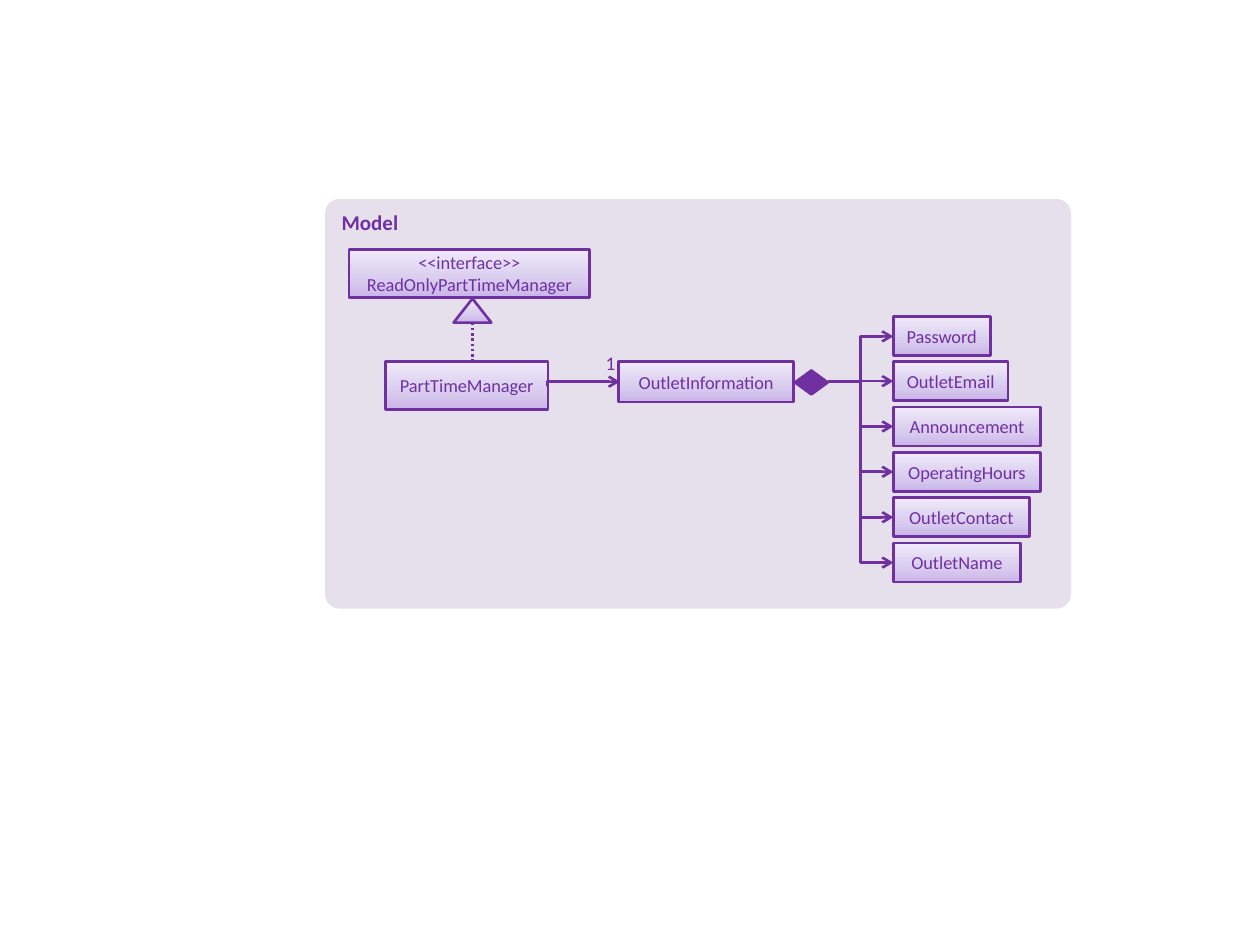
import copy

import lxml.etree
import pptx
import pptx.dml.color
import pptx.enum.dml
import pptx.enum.shapes
import pptx.enum.text
import pptx.oxml.ns
import pptx.util

Inches = pptx.util.Inches
Pt = pptx.util.Pt
Kind = pptx.enum.shapes.MSO_SHAPE
Link = pptx.enum.shapes.MSO_CONNECTOR
Align = pptx.enum.text.PP_ALIGN
Anchor = pptx.enum.text.MSO_ANCHOR
qn = pptx.oxml.ns.qn

COLORS = {"ink": "7030A0", "panel": "E6E0EC",
          "dark": "C9B5E8", "mid": "D8CBEE", "light": "F0EAF9"}
SHADES = [("dark", 0), ("mid", 0.35), ("light", 1)]


class Board:
    font = "Calibri"
    width = 1.5

    def __init__(self, slide):
        self.slide = slide

    def color(self, name):
        return pptx.dml.color.RGBColor.from_string(COLORS[name])

    def letter(self, frame, text, size, align, bold=False):
        para = frame.paragraphs[0]
        para.text = text
        para.alignment = align
        font = para.font
        font.name, font.size, font.bold = self.font, Pt(size), bold
        font.color.rgb = self.color("ink")

    def stroke(self, item):
        item.line.color.rgb = self.color("ink")
        item.line.width = Pt(self.width)

    def shade(self, fill):
        fill.gradient()
        fill.gradient_angle = 90
        stops = fill._fill._gradFill.find(qn("a:gsLst"))
        stops.insert(1, copy.deepcopy(stops[0]))
        for stop, (name, pos) in zip(fill.gradient_stops, SHADES):
            stop.color.rgb = self.color(name)
            stop.position = pos

    def shape(self, kind, x, y, w, h, fill=None):
        item = self.slide.shapes.add_shape(
            kind, Inches(x), Inches(y), Inches(w), Inches(h))
        item.shadow.inherit = False
        if fill:
            item.fill.solid()
            item.fill.fore_color.rgb = self.color(fill)
        else:
            self.shade(item.fill)
        self.stroke(item)
        return item

    def panel(self, title, x, y, w, h):
        item = self.shape(Kind.ROUNDED_RECTANGLE, x, y, w, h, "panel")
        item.adjustments[0] = 0.035
        item.line.fill.background()
        item.text_frame.vertical_anchor = Anchor.TOP
        self.letter(item.text_frame, title, 12, Align.LEFT, True)

    def box(self, text, x, y, w, h):
        frame = self.shape(Kind.RECTANGLE, x, y, w, h).text_frame
        frame.vertical_anchor = Anchor.MIDDLE
        frame.word_wrap = False
        self.letter(frame, text, 10.5, Align.CENTER)

    def label(self, text, x, y, w, h):
        item = self.slide.shapes.add_textbox(
            Inches(x), Inches(y), Inches(w), Inches(h))
        frame = item.text_frame
        frame.word_wrap = True
        frame.margin_left = frame.margin_right = 0
        frame.margin_top = frame.margin_bottom = 0
        self.letter(frame, text, 11, Align.CENTER)

    def link(self, start, end, kind=Link.STRAIGHT, arrow=False, bend=None, dash=None):
        points = [Inches(value) for value in (*start, *end)]
        item = self.slide.shapes.add_connector(kind, *points)
        self.stroke(item)
        if dash:
            item.line.dash_style = dash
        props = item._element.spPr
        if bend is not None:
            lxml.etree.SubElement(props.find(qn("a:prstGeom")).find(qn("a:avLst")),
                                  qn("a:gd"), name="adj1",
                                  fmla=f"val {round(bend * 100000)}")
        if arrow:
            lxml.etree.SubElement(item.line._get_or_add_ln(), qn("a:tailEnd"),
                                  type="arrow")
        lxml.etree.SubElement(props, qn("a:effectLst"))


def main():
    deck = pptx.Presentation()
    deck.slide_width, deck.slide_height = Inches(10), Inches(7.5)
    board = Board(deck.slides.add_slide(deck.slide_layouts[6]))

    board.panel("Model", 2.58, 1.58, 5.92, 3.25)
    board.box("PartTimeManager", 3.06, 2.87, 1.29, 0.38)
    board.link((3.75, 2.56), (3.75, 2.88),
               dash=pptx.enum.dml.MSO_LINE.ROUND_DOT)
    board.shape(Kind.ISOSCELES_TRIANGLE, 3.6, 2.37, 0.3, 0.19)
    board.box("<<interface>>\vReadOnlyPartTimeManager", 2.77, 1.98, 1.91, 0.38)
    board.box("OutletInformation", 4.91, 2.87, 1.39, 0.32)
    board.label("1", 4.75, 2.79, 0.19, 0.2)
    board.shape(Kind.FLOWCHART_DECISION, 6.31, 2.94, 0.26, 0.19, "ink")
    board.link((4.35, 3.06), (4.92, 3.03), Link.ELBOW, True, -0.016)

    left, top, tall, step = 7.09, 2.87, 0.31, 0.36
    board.box("Password", left, 2.51, 0.77, tall)
    parts = [("OutletEmail", 0.91), ("Announcement", 1.17),
             ("OperatingHours", 1.17), ("OutletContact", 1.08),
             ("OutletName", 1.01)]
    for row, (name, wide) in enumerate(parts):
        y = top + row * step
        board.box(name, left, y, wide, tall)
        board.link((6.57, 3.03), (left, y + tall / 2), Link.ELBOW, True)

    board.link((6.83, 3.05), (6.83, 2.77))
    board.link((6.83, 2.79), (left, 2.67), Link.ELBOW, True, 0.002)
    deck.save("out.pptx")


if __name__ == "__main__":
    main()
